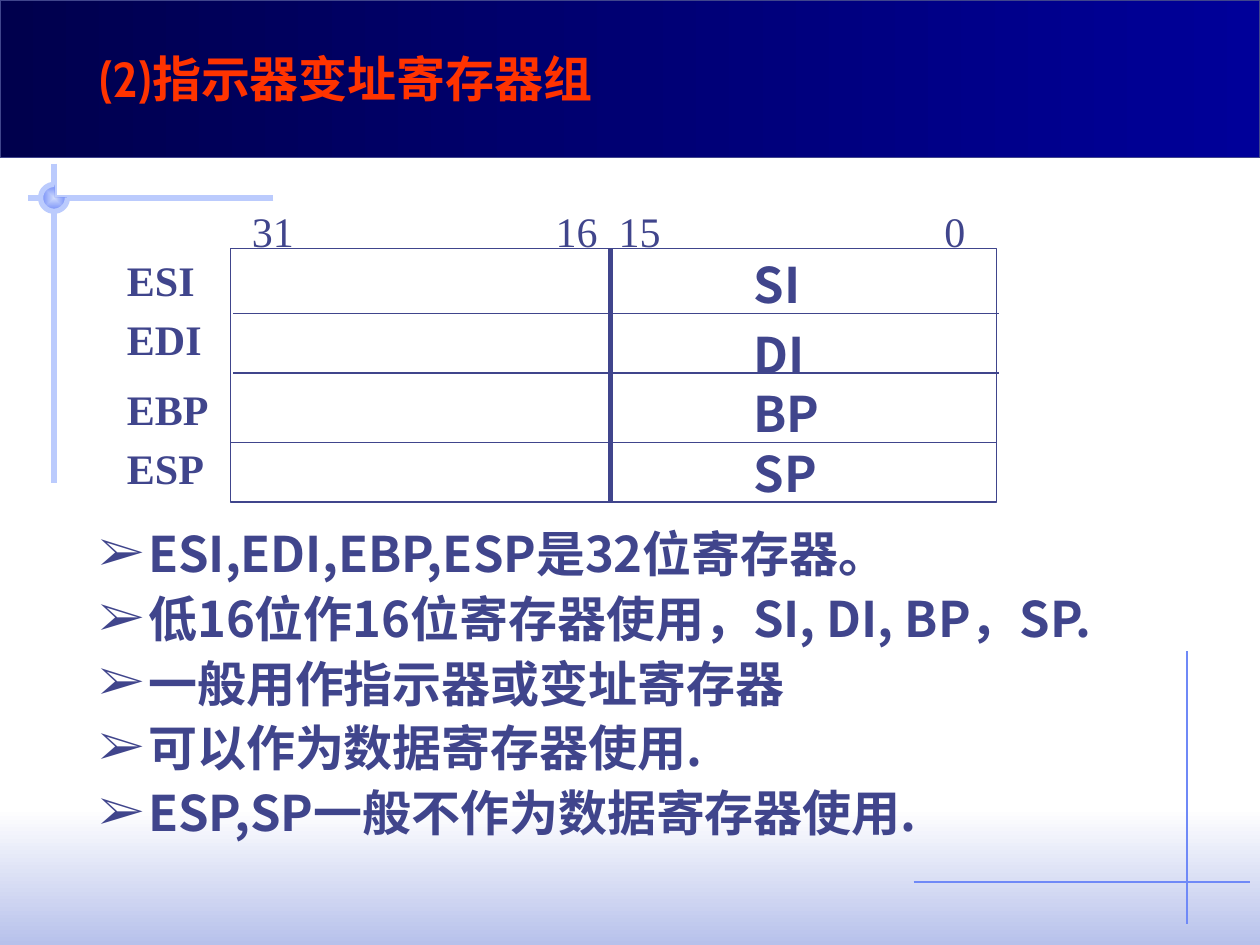
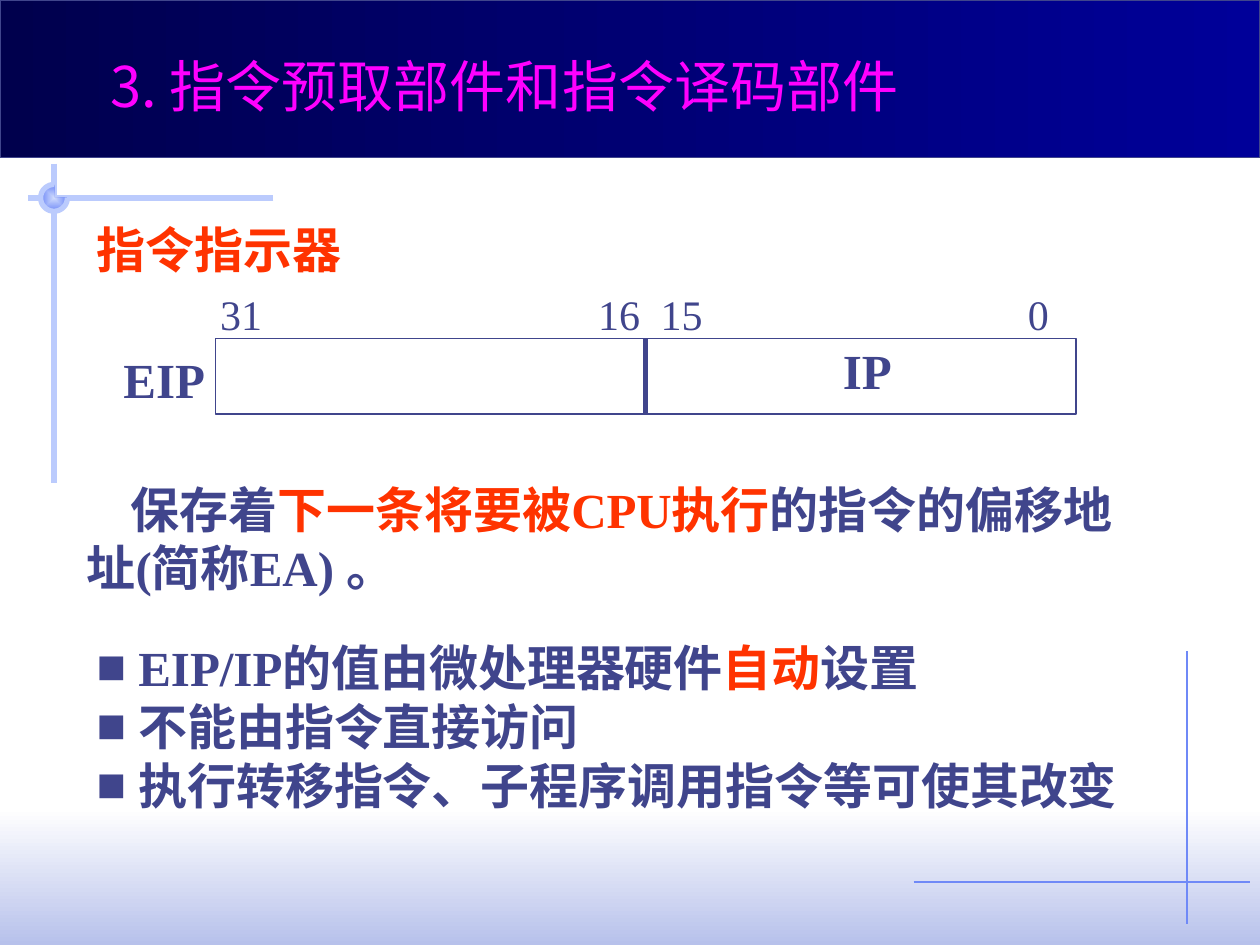
import math

import lxml.etree
import pptx
import pptx.dml.color
import pptx.enum.shapes
import pptx.enum.text
import pptx.oxml.ns
import pptx.util

Cm = pptx.util.Cm
Pt = pptx.util.Pt
qn = pptx.oxml.ns.qn

COLORS = {
    "ink": "40458C",
    "red": "FF3300",
    "magenta": "FF00FF",
    "white": "FFFFFF",
    "glow": "B7C1EB",
    "band_dark": "00004D",
    "band_light": "000099",
    "pale_line": "BBCBFD",
    "thin_line": "6F89F7",
    "knob_edge": "CFDBFD",
}
SANS = "Noto Sans CJK SC"
SERIF = "Times New Roman"
STYLES = {
    "section": {"name": "Cabin", "size": Pt(28), "bold": True},
    "chapter": {"name": SANS, "size": Pt(32), "bold": False},
    "sans": {"name": SANS, "size": Pt(28), "bold": True},
    "serif": {"name": SERIF, "size": Pt(28), "bold": True},
    "register": {"name": SERIF, "size": Pt(24), "bold": True},
    "bits": {"name": SERIF, "size": Pt(24), "bold": False},
}


def rgb(color):
    return pptx.dml.color.RGBColor.from_string(COLORS[color])


def add_line(slide, start, end, color="ink", width=0.75):
    connector = slide.shapes.add_connector(
        pptx.enum.shapes.MSO_CONNECTOR.STRAIGHT, *map(Cm, start + end))
    connector.line.color.rgb = rgb(color)
    connector.line.width = Pt(width)
    lxml.etree.SubElement(connector._element.spPr, qn("a:effectLst"))
    return connector


def set_outline(shape, color=None, width=0.75):
    shape.shadow.inherit = False
    if color:
        shape.line.color.rgb = rgb(color)
        shape.line.width = Pt(width)
    else:
        shape.line.fill.background()


def set_gradient(shape, first, last, angle=0):
    shape.fill.gradient()
    shape.fill.gradient_angle = angle
    for stop, color, position in zip(shape.fill.gradient_stops, (first, last), (0, 1)):
        stop.color.rgb = rgb(color)
        stop.position = position


def center_gradient(shape):
    """Turn a linear gradient into one that runs from the edges to the middle."""
    linear = shape._element.spPr.find(".//" + qn("a:lin"))
    rectangular = lxml.etree.Element(qn("a:path"), {"path": "rect"})
    lxml.etree.SubElement(rectangular, qn("a:fillToRect"),
                          dict.fromkeys("ltrb", "50000"))
    linear.getparent().replace(linear, rectangular)


def add_rectangle(slide, box, outline=None):
    shape = slide.shapes.add_shape(
        pptx.enum.shapes.MSO_SHAPE.RECTANGLE, *map(Cm, box))
    set_outline(shape, outline)
    return shape


def add_outline_shape(slide, points, close):
    points = [(Cm(x), Cm(y)) for x, y in points]
    builder = slide.shapes.build_freeform(*points[0])
    builder.add_line_segments(points[1:], close=close)
    return builder.convert_to_shape()


def add_knob(slide, center, radius):
    """Three quarters of a disc, with a thick line along its arc only."""
    x, y = center
    angles = [math.radians(degrees) for degrees in range(90, 361, 10)]
    arc = [(x + radius * math.cos(a), y - radius * math.sin(a)) for a in angles]
    disc = add_outline_shape(slide, arc + [center], close=True)
    set_gradient(disc, "knob_edge", "thin_line")
    center_gradient(disc)
    set_outline(disc)
    ring = add_outline_shape(slide, arc, close=False)
    ring.fill.background()
    set_outline(ring, "pale_line", 3)


def add_background(slide):
    glow = add_rectangle(slide, (0, 16.3, 25.4, 2.75))
    set_gradient(glow, "white", "glow", 270)
    add_line(slide, (23.93, 13.13), (23.93, 18.62), "thin_line")
    add_line(slide, (5.51, 3.99), (0.56, 3.99), "pale_line", 3)
    add_line(slide, (1.09, 3.3), (1.09, 9.73), "pale_line", 3)
    add_knob(slide, (1.09, 3.99), 0.27)
    band = add_rectangle(slide, (0, 0, 25.4, 3.18), "ink")
    set_gradient(band, "band_dark", "band_light")
    add_line(slide, (18.42, 17.78), (25.2, 17.78), "thin_line")


def add_run(paragraph, text, style, color):
    run = paragraph.add_run()
    run.text = text
    for name, value in STYLES[style].items():
        setattr(run.font, name, value)
    run.font.color.rgb = rgb(color)
    lxml.etree.SubElement(run.font._element, qn("a:ea"), {"typeface": SANS})


def add_text(slide, box, paragraphs, style, color="ink", wrap=False, inset=0.13):
    """Each paragraph is a string or a list of (text, color) runs."""
    shape = slide.shapes.add_textbox(*map(Cm, box))
    frame = shape.text_frame
    settings = {
        "word_wrap": wrap,
        "auto_size": pptx.enum.text.MSO_AUTO_SIZE.SHAPE_TO_FIT_TEXT,
        "margin_left": Cm(0.25), "margin_right": Cm(0.25),
        "margin_top": Cm(inset), "margin_bottom": Cm(inset),
    }
    for name, value in settings.items():
        setattr(frame, name, value)
    for index, content in enumerate(paragraphs):
        paragraph = frame.add_paragraph() if index else frame.paragraphs[0]
        runs = [(content, color)] if isinstance(content, str) else content
        for text, run_color in runs:
            add_run(paragraph, text, style, run_color)
    return frame


def set_indent(paragraph, left, first):
    properties = paragraph._p.get_or_add_pPr()
    properties.set("marL", str(Cm(left)))
    properties.set("indent", str(Cm(first)))
    return properties


def add_bullets(slide, box, items, style, symbol, left, hanging, spacing=1.0):
    frame = add_text(slide, box, items, style, wrap=True)
    for paragraph in frame.paragraphs:
        properties = set_indent(paragraph, left, -hanging)
        bullet_color = lxml.etree.SubElement(properties, qn("a:buClr"))
        lxml.etree.SubElement(bullet_color, qn("a:srgbClr"), {"val": COLORS["ink"]})
        lxml.etree.SubElement(properties, qn("a:buFont"), {"typeface": SERIF})
        lxml.etree.SubElement(properties, qn("a:buChar"), {"char": symbol})
        paragraph.line_spacing = spacing


def add_bit_numbers(slide, box, stops):
    frame = add_text(slide, box, ["31\t16\t15\t0"], "bits", wrap=True)
    properties = frame.paragraphs[0]._p.get_or_add_pPr()
    tabs = lxml.etree.SubElement(properties, qn("a:tabLst"))
    for stop in stops:
        lxml.etree.SubElement(tabs, qn("a:tab"), {"pos": str(Cm(stop)), "algn": "l"})


def add_register_box(slide, box):
    shape = add_rectangle(slide, box, "ink")
    shape.fill.solid()
    shape.fill.fore_color.rgb = rgb("white")
    return shape


def add_slide(presentation):
    slide = presentation.slides.add_slide(presentation.slide_layouts[6])
    add_background(slide)
    return slide


def build_index_registers(presentation):
    slide = add_slide(presentation)
    add_bullets(slide, (1.5, 10.31, 21.16, 8.08), [
        "ESI,EDI,EBP,ESP是32位寄存器。",
        "低16位作16位寄存器使用，SI, DI, BP，SP.",
        "一般用作指示器或变址寄存器",
        "可以作为数据寄存器使用.",
        "ESP,SP一般不作为数据寄存器使用.",
    ], "sans", "➢", 1.24, 0.99, 1.1)
    left, top, width, height = 4.65, 5.01, 15.44, 5.11
    add_register_box(slide, (left, top, width, height))
    for shift, y in ((0.05, 6.32), (0.05, 7.52), (0, 8.92)):
        add_line(slide, (left + shift, y), (left + shift + width, y))
    add_line(slide, (12.3, top), (12.3, top + height), width=3)
    add_bit_numbers(slide, (4.83, 4.01, 15.2, 1.27), (6.12, 7.39, 13.96))
    registers = [
        ("ESI", 5.13, 1.88, "SI", 5.13, 1.98),
        ("EDI", 6.32, 2.01, "DI", 6.55, 2.16),
        ("EBP", 7.73, 2.16, "BP", 7.73, 2.16),
        ("ESP", 8.92, 2.06, "SP", 8.94, 2.36),
    ]
    for name, name_top, name_width, low, low_top, low_width in registers:
        add_text(slide, (14.94, low_top, low_width, 1.19), [low], "sans",
                 wrap=True, inset=0)
        add_text(slide, (2.31, name_top, name_width, 1.02), [name], "register", inset=0)
    add_text(slide, (1.75, 0.84, 10.85, 1.45), ["(2)指示器变址寄存器组"], "section", "red")


def build_instruction_pointer(presentation):
    slide = add_slide(presentation)
    left, top, width, height = 4.34, 6.83, 17.35, 1.52
    middle = left + width / 2
    register = add_register_box(slide, (left, top, width, height))
    divider = add_line(slide, (middle, top), (middle, top + height), width=3)
    divider.begin_connect(register, 0)
    divider.end_connect(register, 2)
    add_text(slide, (16.74, 6.73, 1.5, 1.45), ["IP"], "serif")
    add_text(slide, (2.24, 6.92, 2.4, 1.45), ["EIP"], "serif", wrap=True)
    add_bit_numbers(slide, (4.19, 5.69, 17.5, 1.27), (7.62, 8.88, 16.28))
    summary = add_text(slide, (1.5, 9.53, 21.79, 2.64), [[
        ("保存着", "ink"),
        ("下一条将要被CPU执行", "red"),
        ("的指令的偏移地址(简称EA) 。", "ink"),
    ]], "serif", wrap=True)
    set_indent(summary.paragraphs[0], 0, 0.89)
    add_text(slide, (1.7, 4.29, 5.44, 1.45), ["指令指示器"], "sans", "red")
    add_bullets(slide, (1.7, 12.73, 22.4, 3.81), [
        [("EIP/IP的值由微处理器硬件", "ink"), ("自动", "red"), ("设置", "ink")],
        "不能由指令直接访问",
        "执行转移指令、子程序调用指令等可使其改变",
    ], "serif", "■", 0.84, 0.84)
    add_text(slide, (1.98, 0.91, 16.71, 1.63), ["3. 指令预取部件和指令译码部件"],
             "chapter", "magenta")


def main():
    presentation = pptx.Presentation()
    presentation.slide_width = Cm(25.4)
    presentation.slide_height = Cm(19.05)
    build_index_registers(presentation)
    build_instruction_pointer(presentation)
    presentation.save("out.pptx")


if __name__ == "__main__":
    main()
